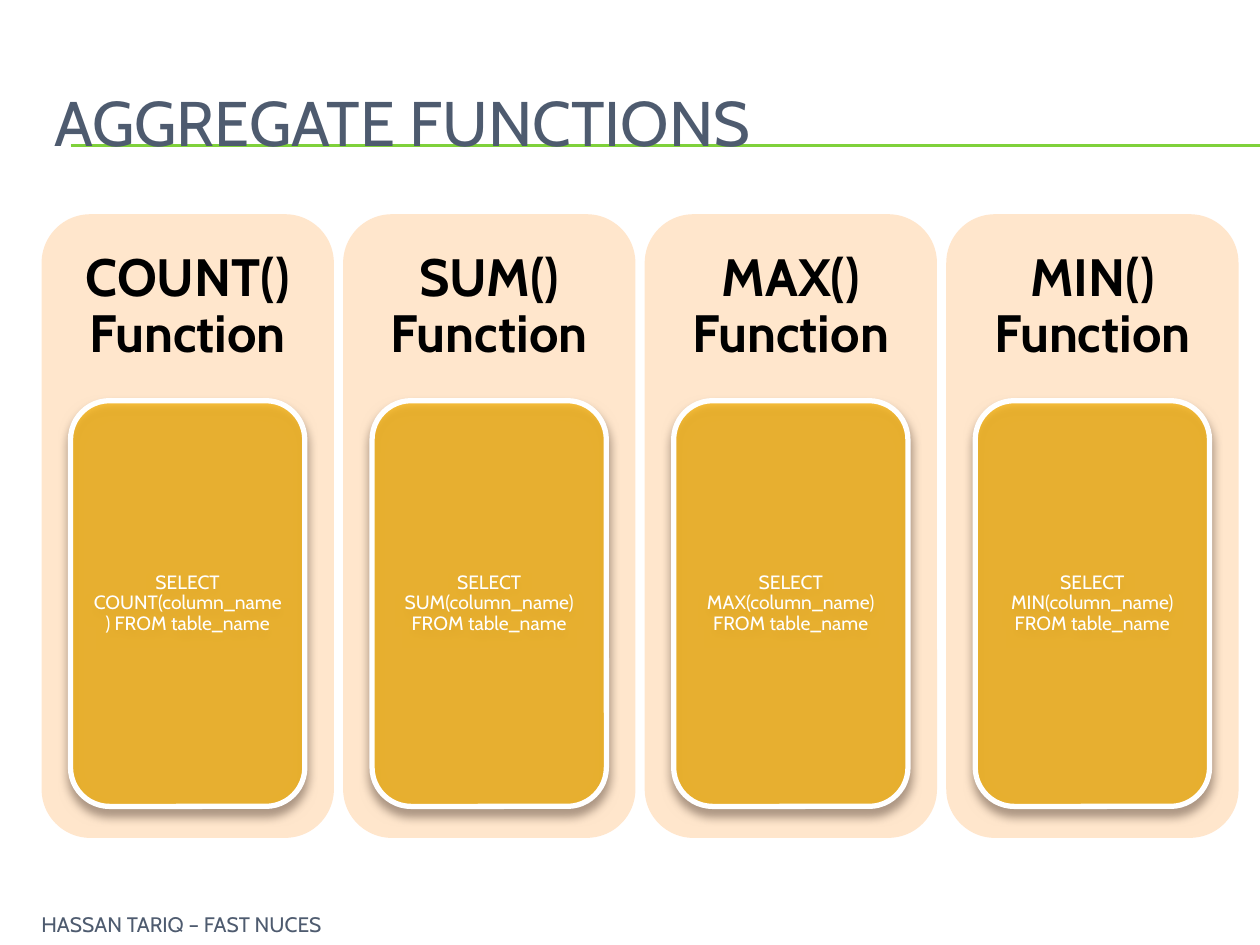
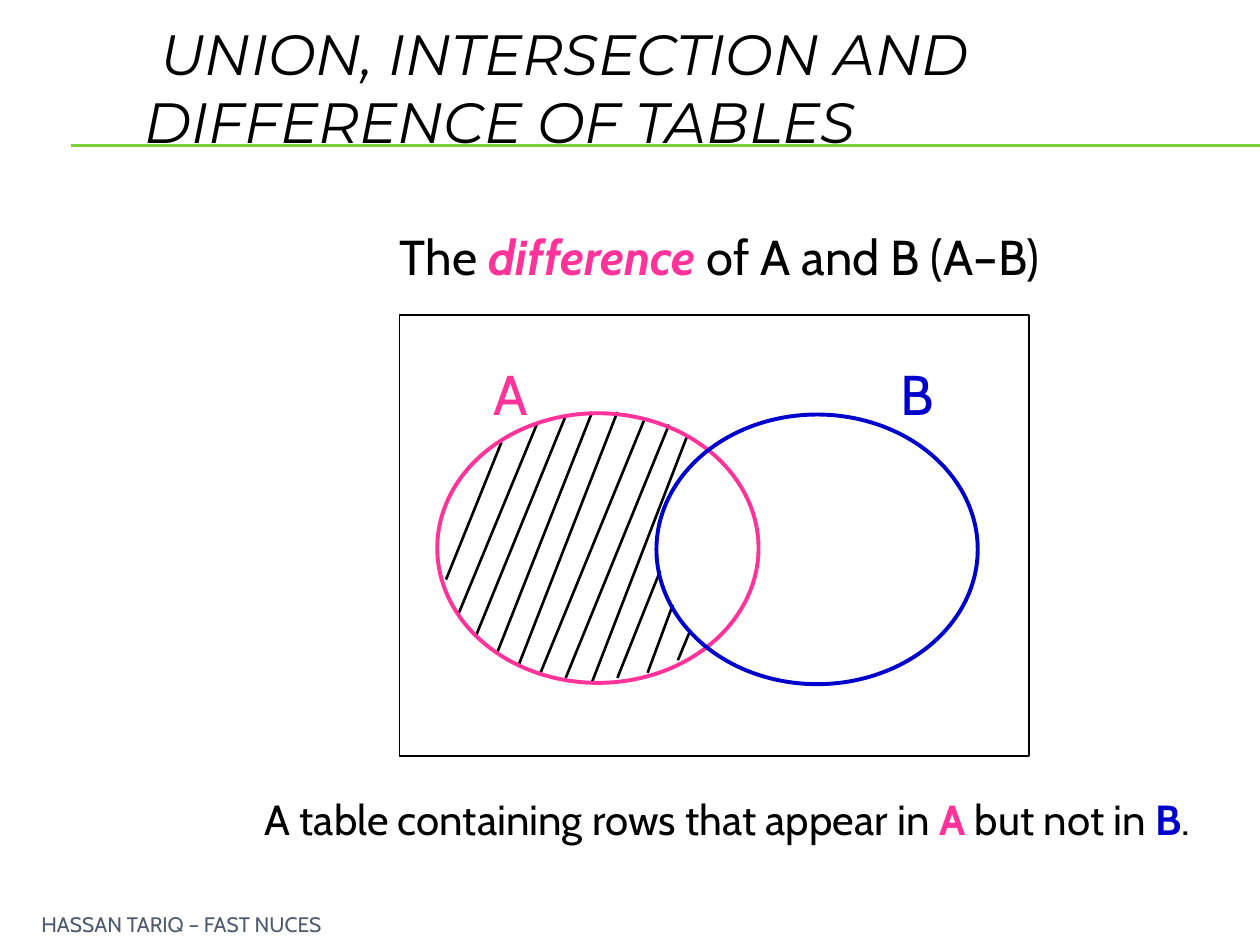
from lxml import etree
from pptx import Presentation
from pptx.dml.color import RGBColor
from pptx.enum import shapes, text
from pptx.oxml.ns import qn
from pptx.util import Inches, Pt

GREEN = RGBColor(0x7F, 0xD1, 0x3B)
SLATE = RGBColor(0x4E, 0x5B, 0x6F)
PEACH = RGBColor(0xFF, 0xE6, 0xCC)
AMBER = RGBColor(0xFE, 0xB8, 0x0A)
BROWN = RGBColor(0x4E, 0x3B, 0x30)
PINK = RGBColor(0xFF, 0x33, 0x99)
BLUE = RGBColor(0x00, 0x00, 0xCC)
BLACK = RGBColor(0, 0, 0)
WHITE = RGBColor(0xFF, 0xFF, 0xFF)

FONT = "Cabin"
TITLE_ONLY = 5
FOOTER = "HASSAN TARIQ – FAST NUCES"
LEFT, CENTER = text.PP_ALIGN.LEFT, text.PP_ALIGN.CENTER
TOP, MIDDLE, BOTTOM = text.MSO_ANCHOR.TOP, text.MSO_ANCHOR.MIDDLE, text.MSO_ANCHOR.BOTTOM
SHAPE = shapes.MSO_SHAPE

FUNCTIONS = ["COUNT", "SUM", "MAX", "MIN"]
HATCHING = [
    (3.98, 3.51, 3.54, 4.6), (4.26, 3.37, 3.64, 4.87), (4.49, 3.3, 3.78, 5.04),
    (4.7, 3.27, 3.95, 5.17), (4.9, 3.27, 4.12, 5.27), (5.11, 3.34, 4.29, 5.34),
    (5.31, 3.37, 4.49, 5.38), (5.45, 3.47, 4.7, 5.41), (5.24, 4.53, 4.9, 5.38),
    (5.34, 4.8, 5.14, 5.34), (5.48, 5, 5.38, 5.24),
]


class Deck:
    """Holds the shared style and the slide being built."""

    def __init__(self):
        self.presentation = Presentation()
        self.presentation.slide_width = Inches(10)
        self.presentation.slide_height = Inches(7.5)
        self.slide = None

    def start_slide(self, title, box, size, color, anchor, font=FONT, italic=False, indent=0):
        layout = self.presentation.slide_layouts[TITLE_ONLY]
        self.slide = self.presentation.slides.add_slide(layout)
        placeholder = self.slide.shapes.title
        placeholder.left, placeholder.top, placeholder.width, placeholder.height = map(Inches, box)
        self.set_text(placeholder.text_frame, [(title, color)], size, LEFT, anchor)
        paragraph = placeholder.text_frame.paragraphs[0]
        paragraph._p.get_or_add_pPr().set("indent", str(Inches(indent)))
        paragraph.font.name = font
        paragraph.font.italic = italic
        for y in (1.15, 1.16):
            rule = self.line(0.56, y, 10, y, GREEN, 0.75)
            placeholder.element.addprevious(rule.element)
        self.text_box((0.23, 7.25, 6.69, 0.17), [(FOOTER, SLATE)], 12, anchor=MIDDLE)

    def set_text(self, frame, runs, size, align=LEFT, anchor=TOP, insets=(0.1, 0.05),
                 spacing=None):
        frame.word_wrap = True
        frame.auto_size = text.MSO_AUTO_SIZE.NONE
        frame.vertical_anchor = anchor
        frame.margin_left = frame.margin_right = Inches(insets[0])
        frame.margin_top = frame.margin_bottom = Inches(insets[1])
        paragraph = frame.paragraphs[0]
        paragraph.alignment = align
        paragraph.line_spacing = spacing
        paragraph.font.name = FONT
        paragraph.font.size = Pt(size)
        for words, color, *emphasis in runs:
            run = paragraph.add_run()
            run.text = words
            run.font.color.rgb = color
            if "bold" in emphasis:
                run.font.bold = True
            if "italic" in emphasis:
                run.font.italic = True

    def text_box(self, box, runs, size, **style):
        shape = self.slide.shapes.add_textbox(*map(Inches, box))
        self.set_text(shape.text_frame, runs, size, **style)

    def shape(self, kind, box, fill=None, outline=None, width=1):
        shape = self.slide.shapes.add_shape(kind, *map(Inches, box))
        shape.shadow.inherit = False
        if fill is None:
            shape.fill.background()
        else:
            shape.fill.solid()
            shape.fill.fore_color.rgb = fill
        if outline is None:
            shape.line.fill.background()
        else:
            shape.line.color.rgb = outline
            shape.line.width = Pt(width)
        return shape

    def card(self, box, words):
        card = self.shape(SHAPE.ROUNDED_RECTANGLE, box, AMBER, WHITE, 3)
        properties = card.element.spPr
        fill_color = properties.find(qn("a:solidFill"))[0]
        etree.SubElement(fill_color, qn("a:alpha"), val="70000")
        shadow = etree.SubElement(
            properties.find(qn("a:effectLst")), qn("a:outerShdw"),
            blurRad=str(Pt(6)), dist=str(Pt(4)), dir="5400000", rotWithShape="0")
        shadow_color = etree.SubElement(shadow, qn("a:srgbClr"), val=str(BROWN))
        etree.SubElement(shadow_color, qn("a:alpha"), val="60000")
        self.set_text(card.text_frame, [(words, WHITE)], 11, CENTER, MIDDLE, (0.09, 0.09), 0.9)

    def line(self, x1, y1, x2, y2, color, width):
        line = self.slide.shapes.add_connector(
            shapes.MSO_CONNECTOR.STRAIGHT, *map(Inches, (x1, y1, x2, y2)))
        line.line.color.rgb = color
        line.line.width = Pt(width)
        etree.SubElement(line.element.spPr, qn("a:effectLst"))
        return line

    def venn_set(self, name, circle_left, circle_top, label_left, color):
        self.shape(SHAPE.OVAL, (circle_left, circle_top, 2.55, 2.14), None, color, 2.25)
        self.text_box((label_left, 2.84, 0.48, 0.71), [(name, color)], 32,
                      align=CENTER, insets=(0.01, 0.01))


def add_aggregate_functions(deck):
    deck.start_slide("AGGREGATE FUNCTIONS", (0.33, 0.5, 9.5, 0.92), 36, SLATE, MIDDLE)
    panel_pitch = (7.51 - 0.33) / (len(FUNCTIONS) - 1)
    for column, function in enumerate(FUNCTIONS):
        left = 0.33 + column * panel_pitch
        deck.shape(SHAPE.ROUNDED_RECTANGLE, (left, 1.7, 2.32, 4.95), PEACH)
        deck.text_box((left + 0.07, 1.77, 2.18, 1.34), [(f"{function}() Function", BLACK, "bold")],
                      30, align=CENTER, anchor=MIDDLE, insets=(0.23, 0.23), spacing=0.9)
        deck.card((left + 0.23, 3.18, 1.86, 3.22),
                  f"SELECT {function}(column_name) FROM table_name")


def add_table_difference(deck):
    deck.start_slide("UNION, INTERSECTION AND DIFFERENCE OF TABLES", (1.05, 0.03, 8.5, 1.25),
                     32.4, BLACK, BOTTOM, "Montserrat", True, 0.12)
    for stroke in HATCHING:
        deck.line(*stroke, BLACK, 1.5)
    deck.text_box((2.75, 1.75, 5.92, 0.57), [
        ("The ", BLACK), ("difference", PINK, "bold", "italic"),
        (" of A and B (A–B)", BLACK)], 28, align=CENTER)
    deck.text_box((2, 6.25, 7.58, 0.5), [
        ("A table containing rows that appear in ", BLACK), ("A", PINK, "bold"),
        (" but not in ", BLACK), ("B", BLUE, "bold"), (".", BLACK)], 24)
    deck.shape(SHAPE.RECTANGLE, (3.17, 2.5, 5, 3.5), None, BLACK, 1)
    deck.venn_set("A", 3.47, 3.28, 3.81, PINK)
    deck.venn_set("B", 5.21, 3.29, 7.04, BLUE)


def main():
    deck = Deck()
    add_aggregate_functions(deck)
    add_table_difference(deck)
    deck.presentation.save("out.pptx")


if __name__ == "__main__":
    main()
